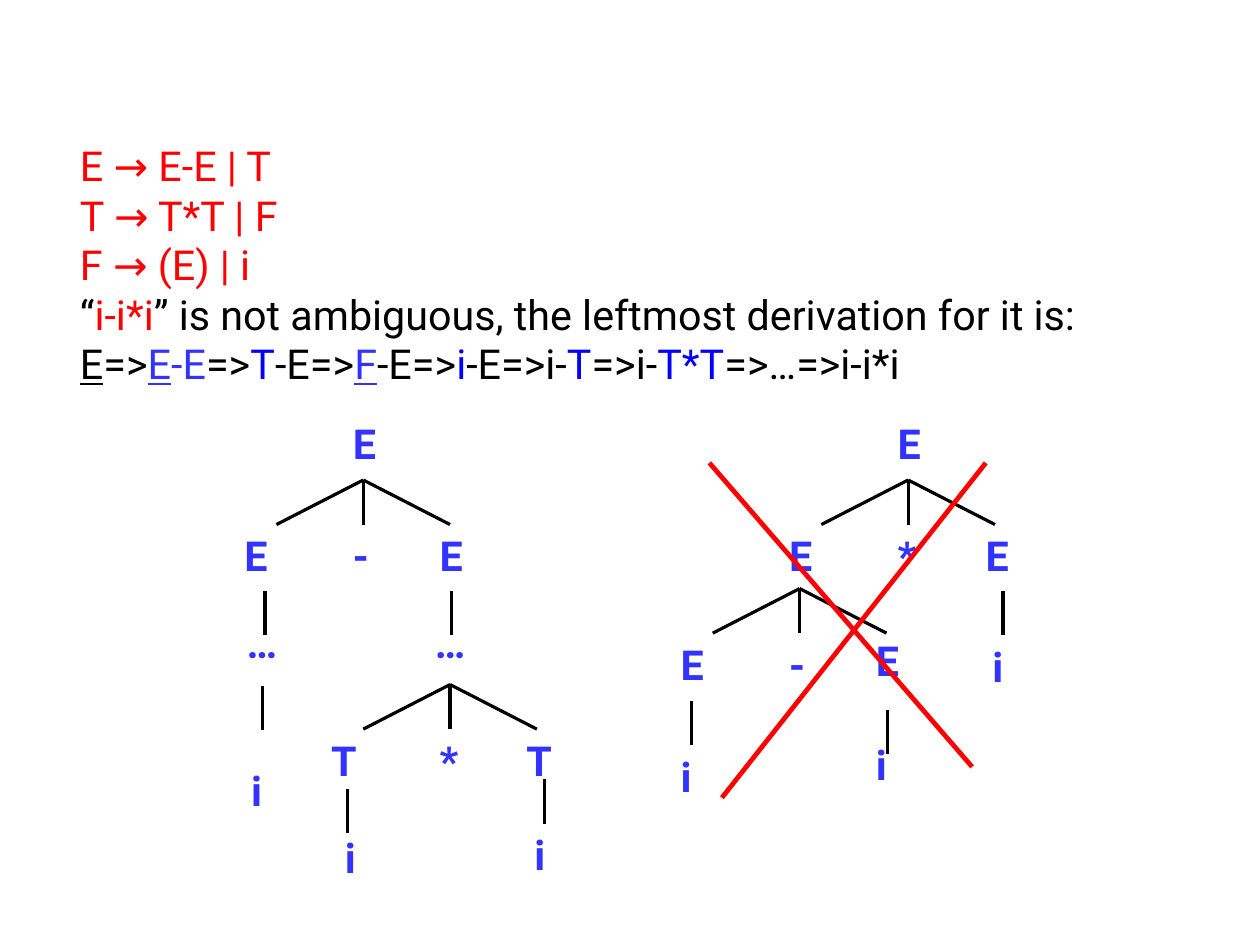
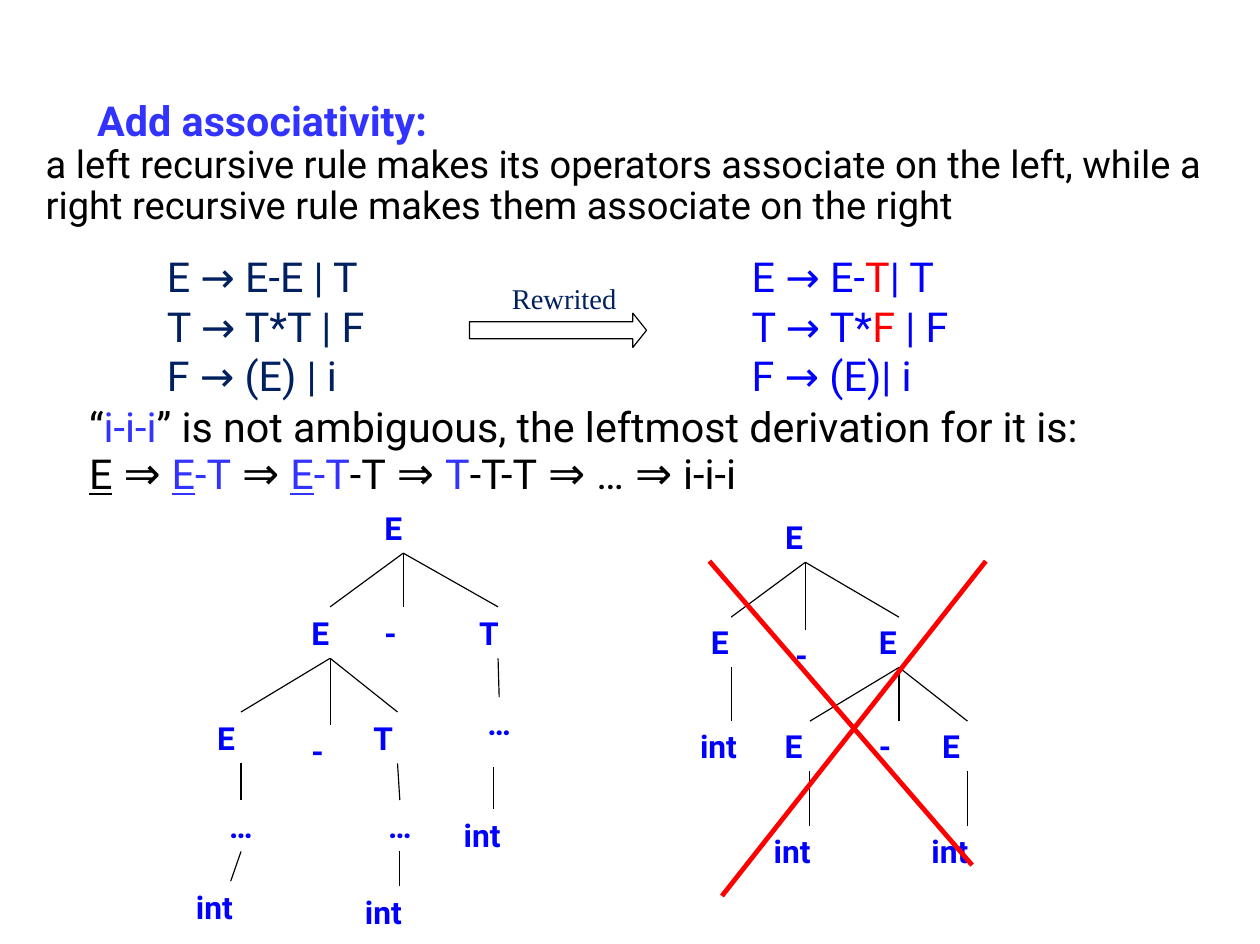
from pptx import Presentation
from pptx.dml.color import RGBColor
from pptx.enum.shapes import MSO_CONNECTOR as Link, MSO_SHAPE as Form
from pptx.enum.text import MSO_AUTO_SIZE as Fit, MSO_ANCHOR as Anchor, PP_ALIGN as Align
from pptx.oxml.ns import qn
from pptx.util import Inches, Pt
from lxml.etree import SubElement

HUES = {"black": "000000", "red": "FF0000", "blue": "0000FF",
        "violet": "3333FF", "navy": "002060"}
FONT = "Roboto"


def color(hue):
    return RGBColor.from_string(HUES[hue])


# Text helpers: a run is (text, hue) or (text, hue, True) when underlined
def write(para, runs, size, hue="black", bold=False, font=FONT):
    if isinstance(runs, str):
        runs = [(runs, hue)]
    face = para.font
    face.name, face.size, face.bold = font, Pt(size), bold
    same = len({run[1] for run in runs}) == 1
    if same:
        face.color.rgb = color(runs[0][1])
    for text, tint, *under in runs:
        run = para.add_run()
        run.text = text
        if not same:
            run.font.color.rgb = color(tint)
        if under:
            run.font.underline = True
        if "⇒" in text:
            run.font.size = Pt(28)


def label(slide, x, y, w, h, lines, size, hue, bold=True, font=FONT,
          pad=(0.1, 0.05), wrap=True, align=Align.LEFT):
    box = slide.shapes.add_textbox(Inches(x), Inches(y), Inches(w), Inches(h))
    frame = box.text_frame
    frame.word_wrap = wrap
    frame.margin_left = frame.margin_right = Inches(pad[0])
    frame.margin_top = frame.margin_bottom = Inches(pad[1])
    for i, runs in enumerate(lines):
        para = frame.add_paragraph() if i else frame.paragraphs[0]
        para.alignment = align
        write(para, runs, size, hue, bold, font)
    return box


def body(slide, x, y, w, h, rows, pitch=1.0):
    """Each row is (indent, space before, size, bold, hue, runs)."""
    slide.shapes.title.element.getparent().remove(slide.shapes.title.element)
    hold = slide.placeholders[1]
    hold.left, hold.top, hold.width, hold.height = map(Inches, (x, y, w, h))
    frame = hold.text_frame
    frame.auto_size, frame.vertical_anchor = Fit.NONE, Anchor.TOP
    for i, (indent, gap, size, bold, hue, runs) in enumerate(rows):
        para = frame.add_paragraph() if i else frame.paragraphs[0]
        props = para._p.get_or_add_pPr()
        props.set("marL", str(Inches(indent)))
        props.set("indent", "0")
        SubElement(props, qn("a:buNone"))
        para.space_before, para.line_spacing = Pt(gap), pitch
        write(para, runs, size, hue, bold)


# Line helpers
def line(slide, x1, y1, x2, y2, width, hue="black"):
    link = slide.shapes.add_connector(
        Link.STRAIGHT, Inches(x1), Inches(y1), Inches(x2), Inches(y2))
    link.line.color.rgb = color(hue)
    link.line.width = Pt(width)
    SubElement(link._element.spPr, qn("a:effectLst"))
    return link


def cross(slide, x, y):
    line(slide, x, y, x + 2.3, y + 2.66, 3, "red")
    line(slide, x + 0.11, y + 2.93, x + 2.42, y, 3, "red")


# Tree with free branches: forks have three legs, stems have one
def sketch(slide, x, y, forks, stems, nodes):
    drop = 0.39
    for dx, dy in forks:
        for leg in (-0.76, 0, 0.76):
            line(slide, x + dx, y + dy, x + dx + leg, y + dy + drop, 2)
    for dx, dy in stems:
        line(slide, x + dx, y + dy, x + dx, y + dy + drop, 2)
    for text, dx, dy in nodes:
        label(slide, x + dx, y + dy, 0.76, 0.59, [text], 26, "violet")


# Tree with joined branches: a node is (text, middle, top, width, parent)
def tree(slide, x, y, high, pad, nodes):
    boxes = []
    for text, mid, top, wide, root in nodes:
        align = Align.CENTER if text == "…" else Align.LEFT
        box = label(slide, x + mid - wide / 2, y + top, wide, high, [text],
                    20, "blue", pad=pad, align=align)
        boxes.append(box)
        if root is not None:
            above = nodes[root]
            link = line(slide, x + above[1], y + above[2] + high,
                        x + mid, y + top, 0.75)
            link.begin_connect(boxes[root], 2)
            link.end_connect(box, 0)
    return boxes


def rules(slide, x, y, lines, hue):
    label(slide, x, y, 2.25, 1.42, lines, 26, hue, False,
          pad=(0.11, 0.06), wrap=False)


def rewrite(slide, x, y):
    label(slide, x + 0.26, y, 1.15, 0.41, ["Rewrited"], 18, "navy", False,
          "Times New Roman", (0.11, 0.06), False)
    arrow = slide.shapes.add_shape(
        Form.RIGHT_ARROW, Inches(x), Inches(y + 0.34), Inches(1.55), Inches(0.3))
    arrow.adjustments[0], arrow.adjustments[1] = 0.5, 0.4
    arrow.shadow.inherit = False
    arrow.fill.background()
    arrow.line.color.rgb = color("black")
    arrow.line.width = Pt(0.75)


# Slide 1: precedence
def rank(slide):
    claim = "” is not ambiguous, the leftmost derivation for it is:"
    steps = [("E", "black", True), ("=>", "black"), ("E", "violet", True),
             ("-E", "violet"), ("=>", "black"), ("T", "blue"),
             ("-E=>", "black"), ("F", "violet", True), ("-E=>", "black"),
             ("i", "blue"), ("-E=>i-", "black"), ("T", "blue"),
             ("=>i-", "black"), ("T*T", "blue"), ("=>…=>i-i*i", "black")]
    texts = ["E → E-E | T", "T → T*T | F", "F → (E) | i",
             [("“", "black"), ("i-i*i", "red"), (claim, "black")], steps]
    body(slide, 0.22, 1.18, 10.38, 2.3,
         [(0.38, 0, 26, False, "red", text) for text in texts])
    sketch(slide, 1.87, 3.61,
           [(1.31, 0.59), (2.07, 2.38)],
           [(0.45, 1.56), (2.08, 1.56), (0.43, 2.39), (1.17, 3.29), (2.9, 3.21)],
           [("E", 1.12, 0), ("E", 0.17, 0.98), ("-", 1.12, 0.98),
            ("E", 1.88, 0.98), ("…", 0.19, 1.74), ("…", 1.84, 1.74),
            ("T", 0.93, 2.77), ("*", 1.88, 2.77), ("T", 2.64, 2.77),
            ("i", 0.23, 3.04), ("i", 1.05, 3.62), ("i", 2.71, 3.6)])
    sketch(slide, 5.86, 3.61,
           [(2.09, 0.59), (1.14, 1.54)],
           [(0.19, 2.52), (1.91, 2.6), (2.92, 1.56)],
           [("E", 1.9, 0), ("E", 0.95, 0.98), ("*", 1.9, 0.98),
            ("E", 2.67, 0.98), ("E", 0, 1.93), ("-", 0.95, 1.93),
            ("E", 1.71, 1.9), ("i", 0, 2.91), ("i", 1.71, 2.81),
            ("i", 2.73, 1.95)])
    cross(slide, 6.21, 4.05)


# Slide 2: associativity
def side(slide):
    claim = "” is not ambiguous, the leftmost derivation for it is:"
    then = (" ⇒ ", "black")
    steps = [("E", "black", True), then, ("E", "violet", True),
             ("-T", "violet"), then, ("E", "violet", True), ("-T", "violet"),
             ("-T", "black"), then, ("T", "violet"), ("-T-T", "black"), then,
             ("…", "black"), then, ("i-i-i", "black")]
    body(slide, 0.3, 0.83, 10.48, 4.13, [
        (0.45, 0, 26, True, "violet", "Add associativity:"),
        (0, 0, 24, False, "black",
         "a left recursive rule makes its operators associate on the left, "
         "while a right recursive rule makes them associate on the right"),
        (0.38, 113, 26, False, "black",
         [("“", "black"), ("i-i-i", "violet"), (claim, "black")]),
        (0.38, 0, 26, False, "black", steps)], 0.9)
    rules(slide, 1.35, 2.14, ["E → E-E | T", "T → T*T | F", "F → (E) | i"], "navy")
    rules(slide, 6.47, 2.14, [
        [("E → E-", "blue"), ("T", "red"), ("| T", "blue")],
        [("T → T*", "blue"), ("F", "red"), (" | F", "blue")],
        "F → (E)| i"], "blue")
    rewrite(slide, 4.11, 2.4)
    boxes = tree(slide, 1.61, 4.39, 0.45, (0.11, 0.06), [
        ("E", 1.92, 0, 0.55, None), ("E", 1.28, 0.92, 0.55, 0),
        ("-", 1.92, 0.92, 0.55, 0), ("T", 2.75, 0.92, 0.55, 0),
        ("E", 0.5, 1.84, 0.64, 1), ("-", 1.28, 1.95, 0.55, 1),
        ("T", 1.87, 1.84, 0.64, 1), ("…", 2.76, 1.71, 0.74, 3),
        ("…", 0.5, 2.61, 0.83, 4), ("…", 1.89, 2.61, 0.83, 6),
        ("int", 0.41, 3.32, 0.83, 8), ("int", 1.89, 3.36, 0.83, 9),
        ("int", 2.71, 2.69, 0.74, None)])
    line(slide, 4.32, 6.71, 4.32, 7.08, 0.75).end_connect(boxes[-1], 0)
    tree(slide, 6.03, 4.48, 0.44, (0.1, 0.05), [
        ("E", 1.02, 0, 0.55, None), ("E", 0.37, 0.92, 0.55, 0),
        ("-", 1.02, 1.03, 0.37, 0), ("E", 1.84, 0.92, 0.55, 0),
        ("int", 0.37, 1.83, 0.74, 1), ("E", 1.06, 1.83, 0.64, 3),
        ("-", 1.84, 1.83, 0.55, 3), ("E", 2.44, 1.83, 0.64, 3),
        ("int", 1.06, 2.75, 0.83, 5), ("int", 2.44, 2.75, 0.83, 7)])
    cross(slide, 6.21, 4.91)


def main():
    deck = Presentation()
    deck.slide_width, deck.slide_height = Inches(11.03), Inches(8.26)
    for build in (rank, side):
        build(deck.slides.add_slide(deck.slide_layouts[1]))
    deck.save("out.pptx")


if __name__ == "__main__":
    main()
